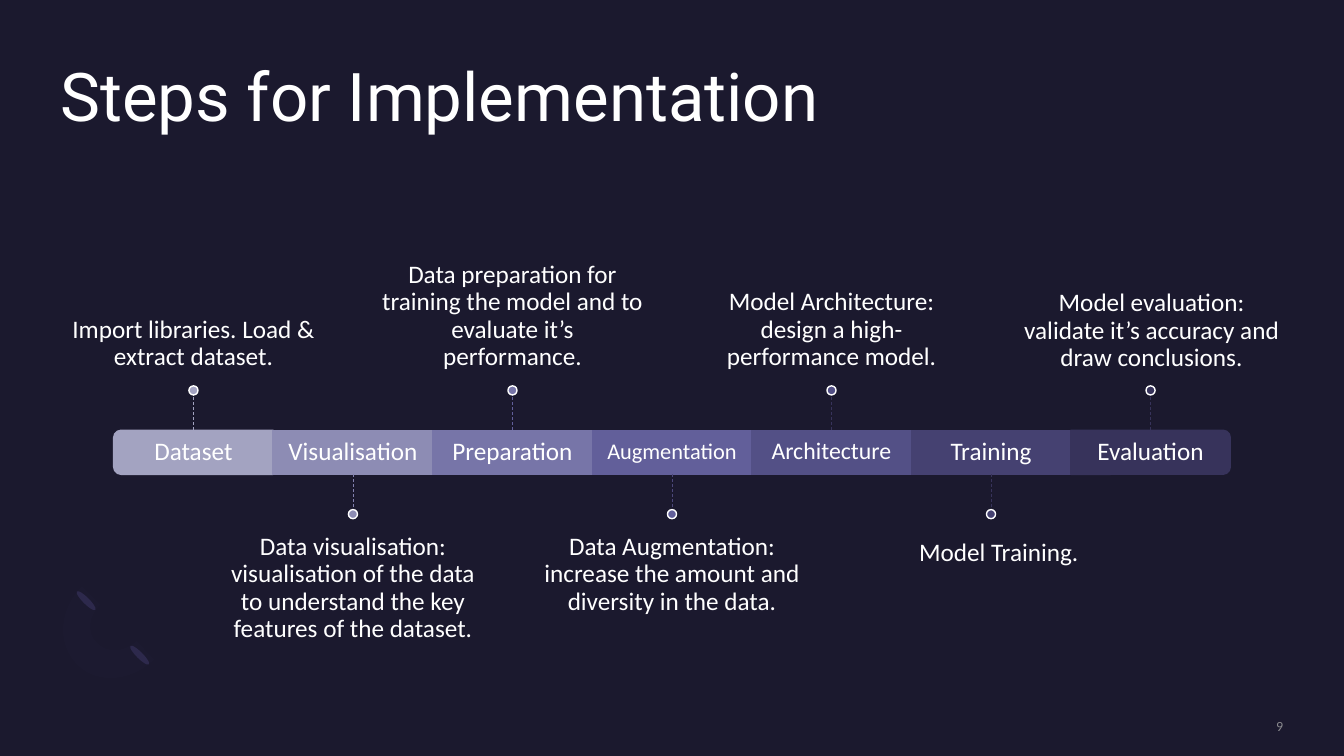
from collections import namedtuple

from lxml.etree import SubElement
from pptx import Presentation
from pptx.dml.color import RGBColor
from pptx.enum.dml import MSO_LINE
from pptx.enum.shapes import MSO_CONNECTOR, MSO_SHAPE
from pptx.enum.text import MSO_ANCHOR, MSO_AUTO_SIZE, PP_ALIGN
from pptx.oxml.ns import qn
from pptx.util import Pt

COLORS = {
    "background": "1B192E", "text": "FFFFFF", "number": "A6A6A6",
    "petal": "2C284A", "arc": "7771B2",
}
Box = namedtuple("Box", "left top width height")
Step = namedtuple("Step", "name size fill stem callout shift", defaults=[(0, 0)])
STEPS = [
    Step("Dataset", 18, "A3A3C1", "A3A3C1", "Import libraries. Load & extract dataset."),
    Step("Visualisation", 18, "8D8CB4", "8281AE",
         "Data visualisation: visualisation of the data to understand the key features of the dataset."),
    Step("Preparation", 18, "7775A8", "625F9A",
         "Data preparation for training the model and to evaluate it’s performance."),
    Step("Augmentation", 16, "625F9A", "4C487B",
         "Data Augmentation: increase the amount and diversity in the data."),
    Step("Architecture", 17, "535086", "37335B",
         "Model Architecture: design a high-performance model."),
    Step("Training", 18, "454171", "37335B", "Model Training.", (5.5, 4.5)),
    Step("Evaluation", 18, "37335B", "37335B",
         "Model evaluation: validate it’s accuracy and draw conclusions.", (0.7, 0.7)),
]
STEM_LENGTH = 25.2
DOT_SIZE = 6.5
CALLOUT_WIDTH = 190
CALLOUT_HEIGHT = 109.4
CALLOUT_INSET = 10.8


def points(*lengths):
    """Convert numbers to point lengths."""
    return [Pt(length) for length in lengths]


def color(value):
    """Make a colour from a hex string."""
    return RGBColor.from_string(value)


def set_alpha(element, percent):
    """Make the first solid colour inside an element translucent."""
    SubElement(next(element.iter(qn("a:srgbClr"))), qn("a:alpha"), val=str(percent * 1000))


def paint(shape, fill, line=None):
    """Give a shape a solid fill and an optional outline, without shadow."""
    shape.shadow.inherit = False
    shape.fill.solid()
    shape.fill.fore_color.rgb = color(fill)
    if line:
        shape.line.color.rgb = color(line)
        shape.line.width = Pt(1)
    else:
        shape.line.fill.background()


def write(shape, text, size, anchor, margins=(0, 0, 0, 0), align=PP_ALIGN.CENTER,
          font="Calibri", fill=COLORS["text"]):
    """Put one formatted paragraph into a shape."""
    frame = shape.text_frame
    frame.word_wrap = True
    frame.auto_size = MSO_AUTO_SIZE.NONE
    frame.vertical_anchor = anchor
    (frame.margin_left, frame.margin_top,
     frame.margin_right, frame.margin_bottom) = points(*margins)
    paragraph = frame.paragraphs[0]
    paragraph.text = text
    paragraph.alignment = align
    paragraph.line_spacing = 0.9
    paragraph.font.size = Pt(size)
    paragraph.font.name = font
    paragraph.font.color.rgb = color(fill)
    return paragraph


def add_title(slide, box):
    """Move and format the title placeholder."""
    title = slide.shapes.title
    title.left, title.top, title.width, title.height = points(*box)
    write(title, "Steps for Implementation", 48, MSO_ANCHOR.TOP,
          align=PP_ALIGN.LEFT, font="Roboto")


def bezier(start, first, second, end, count=12):
    """List the points along a cubic curve after its start."""
    curve = []
    for index in range(1, count + 1):
        t = index / count
        curve.append(tuple(
            (1 - t) ** 3 * a + 3 * (1 - t) ** 2 * t * b + 3 * (1 - t) * t ** 2 * c + t ** 3 * d
            for a, b, c, d in zip(start, first, second, end)))
    return curve


def add_ornament(slide, box):
    """Draw two petals and a faint arc in the lower left corner."""
    for left, top in [(55.4, 39.6), (17.2, 0.7)]:
        petal = slide.shapes.add_shape(
            MSO_SHAPE.OVAL, *points(box.left + left, box.top + top, 4.6, 18.7))
        petal.rotation = 135
        paint(petal, COLORS["petal"])
    outline = [(13, 55.5)]
    outline += bezier(outline[-1], (-1.4, 41), (0, 16.6), (16.5, 0))
    outline.append((29.5, 13))
    outline += bezier(outline[-1], (21, 21), (20, 34), (27.5, 40.5))
    outline += bezier(outline[-1], (34.5, 47.5), (47, 47), (55.5, 39))
    outline.append((68, 52))
    outline += bezier(outline[-1], (52, 68), (27, 70), (13, 55.5))
    corners = [tuple(points(box.left + x, box.top + y)) for x, y in outline]
    builder = slide.shapes.build_freeform(*corners[0])
    builder.add_line_segments(corners[1:])
    arc = builder.convert_to_shape()
    paint(arc, COLORS["arc"])
    set_alpha(arc._element.spPr, 2)


def add_segment(slide, step, box, rotation):
    """Draw one labelled bar segment; a rotation marks a rounded end."""
    if rotation:
        left = box.left + (box.width - box.height) / 2
        top = box.top + (box.height - box.width) / 2
        segment = slide.shapes.add_shape(
            MSO_SHAPE.ROUND_2_SAME_RECTANGLE, *points(left, top, box.height, box.width))
        segment.rotation = rotation
        label = slide.shapes.add_textbox(*points(*box))
    else:
        segment = label = slide.shapes.add_shape(MSO_SHAPE.RECTANGLE, *points(*box))
    paint(segment, step.fill, step.fill)
    write(label, step.name, step.size, MSO_ANCHOR.MIDDLE, (9, 9, 9, 9))
    return segment


def add_callout(slide, step, segment, box, above):
    """Draw the stem, dot and description above or below a segment."""
    center = box.left + box.width / 2
    if above:
        edge = box.top
        tip = edge - STEM_LENGTH
        dot_top = tip - DOT_SIZE
        text_top = dot_top - CALLOUT_HEIGHT
        anchor, margins = MSO_ANCHOR.BOTTOM, (0, 0, 0, CALLOUT_INSET)
    else:
        edge = box.top + box.height
        tip = edge + STEM_LENGTH
        dot_top = tip
        text_top = dot_top + DOT_SIZE
        anchor, margins = MSO_ANCHOR.TOP, (0, CALLOUT_INSET, 0, 0)
    stem = slide.shapes.add_connector(
        MSO_CONNECTOR.STRAIGHT, *points(center, edge, center, tip))
    if not segment.rotation:
        stem.begin_connect(segment, 0 if above else 2)
    stem.line.color.rgb = color(step.stem)
    stem.line.width = Pt(0.5)
    stem.line.dash_style = MSO_LINE.DASH
    SubElement(stem._element.spPr, qn("a:effectLst"))
    dot = slide.shapes.add_shape(
        MSO_SHAPE.OVAL, *points(center - DOT_SIZE / 2, dot_top, DOT_SIZE, DOT_SIZE))
    paint(dot, step.fill, COLORS["text"])
    across, down = step.shift
    description = slide.shapes.add_textbox(*points(
        center - CALLOUT_WIDTH / 2 + across, text_top + down, CALLOUT_WIDTH, CALLOUT_HEIGHT))
    write(description, step.callout, 18, anchor, margins)


def add_timeline(slide, box):
    """Divide the box into equal steps with alternating callouts."""
    width = box.width / len(STEPS)
    rotations = {0: 270, len(STEPS) - 1: 90}
    for index, step in enumerate(STEPS):
        cell = Box(box.left + index * width, box.top, width, box.height)
        segment = add_segment(slide, step, cell, rotations.get(index, 0))
        add_callout(slide, step, segment, cell, above=index % 2 == 0)


def add_slide_number(slide, box):
    """Write the slide number at the lower right."""
    number = slide.shapes.add_textbox(*points(*box))
    paragraph = write(number, "9", 10, MSO_ANCHOR.MIDDLE, align=PP_ALIGN.RIGHT,
                      fill=COLORS["number"])
    paragraph.line_spacing = 1.0
    set_alpha(paragraph._p, 80)


def main():
    """Build and save the presentation."""
    presentation = Presentation()
    presentation.slide_width, presentation.slide_height = points(960, 540)
    slide = presentation.slides.add_slide(presentation.slide_layouts[5])
    slide.background.fill.solid()
    slide.background.fill.fore_color.rgb = color(COLORS["background"])
    add_ornament(slide, Box(42, 419, 68, 66))
    add_title(slide, Box(43.2, 45.4, 916.6 - 43.2, 105))
    add_timeline(slide, Box(81.2, 307.3, 797.6, 31.5))
    add_slide_number(slide, Box(783.4, 512.6, 133.2, 12.2))
    presentation.save("out.pptx")


if __name__ == "__main__":
    main()
